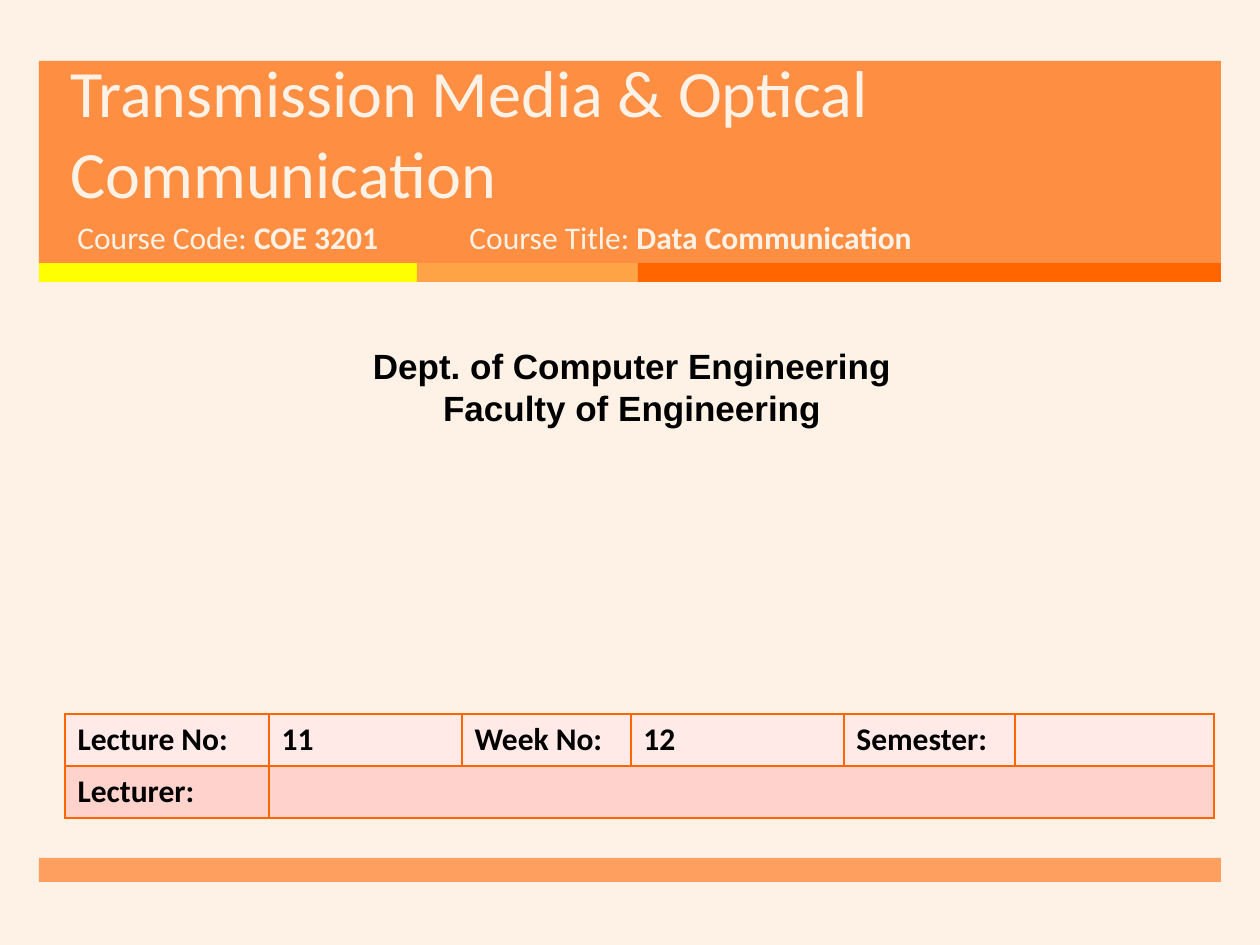
from typing import NamedTuple, Optional

from lxml.etree import SubElement
from pptx import Presentation
from pptx.dml.color import RGBColor
from pptx.enum.shapes import MSO_SHAPE as Preset
from pptx.enum.text import MSO_ANCHOR as Anchor, PP_ALIGN as Align
from pptx.oxml.ns import qn
from pptx.util import Emu, Pt

PX = 914400 / 126
COLORS = {
    "cream": "FEF2E6", "banner": "FF7D26", "yellow": "FFFF00", "amber": "FFA347",
    "orange": "FF6600", "black": "000000", "row_light": "FFEAE7", "row_dark": "FFD3CC",
}


class Band(NamedTuple):
    left: int
    top: int
    width: int
    height: int
    color: str
    opacity: int = 100


class Run(NamedTuple):
    text: str
    bold: Optional[bool] = None


class Label(NamedTuple):
    left: int
    top: int
    width: int
    height: int
    lines: list[list[Run]]
    size: float = 18
    font: str = "Calibri"
    color: str = "cream"
    bold: Optional[bool] = None
    align: Align = Align.LEFT
    anchor: Anchor = Anchor.TOP
    spacing: Optional[float] = None


BANDS = [
    Band(39, 61, 1182, 202, "banner", 85),
    Band(39, 263, 378, 19, "yellow"),
    Band(417, 263, 221, 19, "amber"),
    Band(638, 263, 583, 19, "orange"),
    Band(39, 858, 1182, 24, "banner", 70),
]
LABELS = [
    Label(58, 89, 1076, 129, [[Run("Transmission Media & Optical Communication")]],
          size=37.8, anchor=Anchor.BOTTOM, spacing=46),
    Label(65, 212, 384, 67, [[Run("Course Code: "), Run("COE 3201", True)]]),
    Label(457, 212, 573, 67, [[Run("Course Title: "), Run("Data Communication", True)]]),
    Label(10, 338, 1244, 97,
          [[Run("Dept. of Computer Engineering")], [Run("Faculty of Engineering")]],
          size=20, font="Arial", color="black", bold=True, align=Align.CENTER),
]
LECTURE_ROWS = [
    ["Lecture No:", "11", "Week No:", "12", "Semester:", ""],
    ["Lecturer:", "", "", "", "", ""],
]
COLUMN_WIDTHS = [204, 193, 169, 213, 171, 199]
ROW_HEIGHT = 52


def px(length: int) -> Emu:
    return Emu(round(length * PX))


def rgb(name: str) -> RGBColor:
    return RGBColor.from_string(COLORS[name])


def style_font(font, name: str, size: float, color: str, bold: Optional[bool]) -> None:
    font.name, font.size, font.bold = name, Pt(size), bold
    font.color.rgb = rgb(color)


def draw_band(slide, band: Band) -> None:
    bar = slide.shapes.add_shape(Preset.RECTANGLE, *map(px, band[:4]))
    bar.shadow.inherit = False
    bar.line.fill.background()
    bar.fill.solid()
    bar.fill.fore_color.rgb = rgb(band.color)
    if band.opacity < 100:
        tint = bar.fill._xPr.find(".//" + qn("a:srgbClr"))
        SubElement(tint, qn("a:alpha"), val=str(band.opacity * 1000))


def draw_label(slide, label: Label) -> None:
    frame = slide.shapes.add_textbox(*map(px, label[:4])).text_frame
    frame.word_wrap = True
    frame.vertical_anchor = label.anchor
    for index, line in enumerate(label.lines):
        paragraph = frame.add_paragraph() if index else frame.paragraphs[0]
        paragraph.alignment = label.align
        if label.spacing:
            paragraph.line_spacing = Pt(label.spacing)
        style_font(paragraph.font, label.font, label.size, label.color, label.bold)
        for part in line:
            run = paragraph.add_run()
            run.text = part.text
            if part.bold:
                run.font.bold = True


def draw_borders(cell, color: str) -> None:
    properties = cell._tc.get_or_add_tcPr()
    for side in ("a:lnL", "a:lnR", "a:lnT", "a:lnB"):
        edge = SubElement(properties, qn(side), w=str(Pt(1)))
        SubElement(SubElement(edge, qn("a:solidFill")), qn("a:srgbClr"), val=COLORS[color])


def draw_lecture_table(slide, left: int, top: int) -> None:
    lecture = slide.shapes.add_table(
        len(LECTURE_ROWS), len(COLUMN_WIDTHS), px(left), px(top),
        px(sum(COLUMN_WIDTHS)), px(ROW_HEIGHT * len(LECTURE_ROWS))).table
    for column, width in zip(lecture.columns, COLUMN_WIDTHS):
        column.width = px(width)
    for r, (texts, fill) in enumerate(zip(LECTURE_ROWS, ("row_light", "row_dark"))):
        lecture.rows[r].height = px(ROW_HEIGHT)
        for c, text in enumerate(texts):
            cell = lecture.cell(r, c)
            draw_borders(cell, "orange")
            cell.fill.solid()
            cell.fill.fore_color.rgb = rgb(fill)
            cell.text = text
            style_font(cell.text_frame.paragraphs[0].font, "Calibri", 18, "black", True)
    lecture.cell(1, 1).merge(lecture.cell(1, len(COLUMN_WIDTHS) - 1))


def main() -> None:
    deck = Presentation()
    deck.slide_width, deck.slide_height = px(1260), px(945)
    slide = deck.slides.add_slide(deck.slide_layouts[6])
    slide.background.fill.solid()
    slide.background.fill.fore_color.rgb = rgb("cream")
    for band in BANDS:
        draw_band(slide, band)
    for label in LABELS:
        draw_label(slide, label)
    draw_lecture_table(slide, 65, 714)
    deck.save("out.pptx")


if __name__ == "__main__":
    main()
